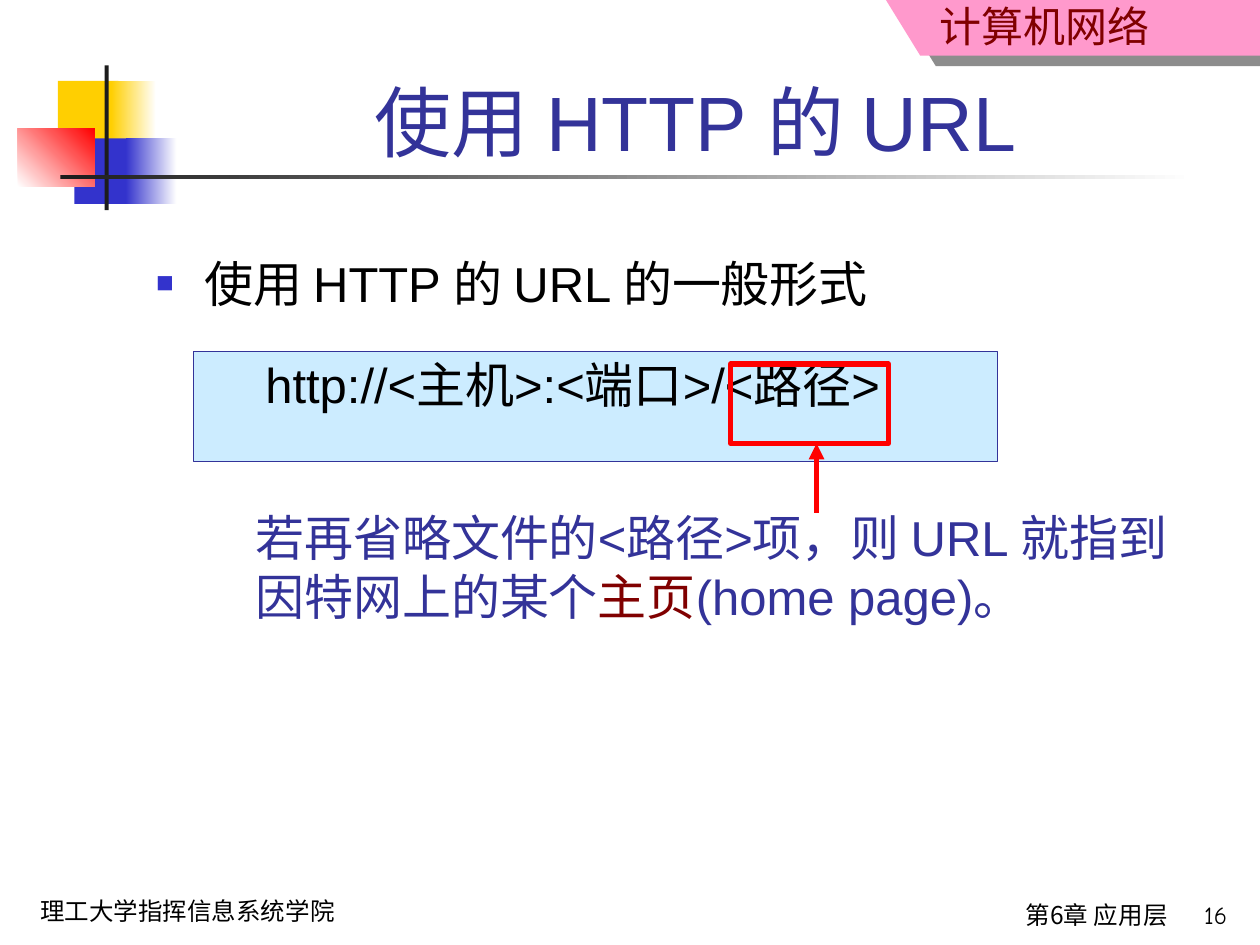
from lxml import etree
from pptx import Presentation
from pptx import util as u
from pptx.dml.color import RGBColor
from pptx.enum import shapes, text
from pptx.oxml import ns

COLORS = {
    "yellow": "FFCF01", "blue": "3333CC", "red": "FF0000", "white": "FFFFFF",
    "ink": "1C1C1C", "pink": "FF99CC", "maroon": "800000", "black": "000000",
    "navy": "333399", "sky": "CCECFF",
}
CJK = "Noto Sans CJK SC"
ALIGN = text.PP_ALIGN


def rgb(name):
    return RGBColor.from_string(COLORS[name])


def add_xml(parent, tag, **attrs):
    return etree.SubElement(parent, ns.qn(tag), attrs)


def paint(sp, fill=None, line=None, width=0.75):
    """Fill with a colour, a (from, to, angle) gradient, or nothing."""
    sp.shadow.inherit = False
    if fill is None:
        sp.fill.background()
    elif isinstance(fill, tuple):
        sp.fill.gradient()
        sp.fill.gradient_angle = fill[2]
        for stop, color in zip(sp.fill.gradient_stops, fill):
            stop.color.rgb = rgb(color)
    else:
        sp.fill.solid()
        sp.fill.fore_color.rgb = rgb(fill)
    if line:
        sp.line.color.rgb = rgb(line)
        sp.line.width = u.Pt(width)
    else:
        sp.line.fill.background()


def add_rect(s, x, y, w, h, **style):
    sp = s.shapes.add_shape(shapes.MSO_SHAPE.RECTANGLE,
                            u.Cm(x), u.Cm(y), u.Cm(w), u.Cm(h))
    paint(sp, **style)
    return sp


def add_text(s, x, y, w, h, **frame):
    tf = s.shapes.add_textbox(u.Cm(x), u.Cm(y), u.Cm(w), u.Cm(h)).text_frame
    for name, value in {"word_wrap": True, **frame}.items():
        setattr(tf, name, value)
    return tf


def write(p, runs, size, font="Arial", **layout):
    """Write (wording, colour) runs into a paragraph."""
    for name, value in layout.items():
        setattr(p, name, value)
    for wording, color in runs:
        r = p.add_run()
        r.text = wording
        for name, value in {"size": u.Pt(size), "name": font}.items():
            setattr(r.font, name, value)
        r.font.color.rgb = rgb(color)
        add_xml(r.font._element, "a:ea", typeface=CJK)


def indent(p, left, first=0):
    pPr = p._p.get_or_add_pPr()
    pPr.set("marL", str(u.Cm(left)))
    pPr.set("indent", str(u.Cm(first)))
    return pPr


def add_ornament(s, x, y):
    parts = [
        (0.81, 0.31, 1.22, 1.32, "yellow"),
        (1.88, 0.31, 0.91, 1.32, ("yellow", "white", 0)),
        (1.14, 1.47, 1.17, 1.32, "blue"),
        (2.18, 1.47, 1.02, 1.32, ("blue", "white", 0)),
        (0, 1.27, 1.55, 1.17, ("white", "red", 45)),
        (1.75, 0, 0.08, 2.92, "ink"),
        (0.86, 2.21, 22.86, 0.08, ("ink", "white", 0)),
    ]
    for dx, dy, w, h, fill in parts:
        add_rect(s, x + dx, y + dy, w, h, fill=fill)


def add_banner(s, x, y, w, h):
    corners = [(x + 0.69, y + h), (x + w, y + h), (x + w, y)]
    builder = s.shapes.build_freeform(u.Cm(x), u.Cm(y))
    builder.add_line_segments([(u.Cm(a), u.Cm(b)) for a, b in corners])
    sp = builder.convert_to_shape()
    paint(sp, fill="pink")
    effects = sp._element.spPr.find(ns.qn("a:effectLst"))
    shadow = add_xml(effects, "a:outerShdw", dist=str(u.Pt(10.8)),
                     dir="2040000", algn="ctr", rotWithShape="0")
    color = add_xml(shadow, "a:srgbClr", val=COLORS["ink"])
    add_xml(color, "a:alpha", val="50000")
    tf = add_text(s, x - 3.07, y, 8.64, 1.14, margin_top=0)
    write(tf.paragraphs[0], [("计算机网络", "maroon")], 24, CJK,
          alignment=ALIGN.RIGHT)


def add_footer(s, x, y, w):
    parts = [
        (0, -0.08, 7.9, "理工大学指挥信息系统学院", "Comic Neue", ALIGN.LEFT),
        (w - 14.1, 0, 12.9, "第6章 应用层", CJK, ALIGN.RIGHT),
        (w - 2, 0, 2, "16", "Comic Neue", ALIGN.RIGHT),
    ]
    for dx, dy, width, wording, font, align in parts:
        tf = add_text(s, x + dx, y + dy, width, 0.96)
        write(tf.paragraphs[0], [(wording, "black")], 14, font,
              alignment=align)


def add_title(s, x, y, w, h):
    tf = add_text(s, x, y, w, h, vertical_anchor=text.MSO_ANCHOR.BOTTOM)
    write(tf.paragraphs[0], [("使用 HTTP 的 URL", "navy")], 44,
          alignment=ALIGN.CENTER)


def add_url_form(s, x, y, w, h):
    """Bulleted heading above the boxed general form of a URL."""
    add_rect(s, x + 1, y + 2.11, 16.21, 2.21, fill="sky", line="navy")
    tf = add_text(s, x, y, w, h)
    p = tf.paragraphs[0]
    pPr = indent(p, 0.97, -0.97)
    color = add_xml(pPr, "a:buClr")
    add_xml(color, "a:srgbClr", val=COLORS["blue"])
    add_xml(pPr, "a:buSzPct", val="60000")
    add_xml(pPr, "a:buFont", typeface="Arial")
    add_xml(pPr, "a:buChar", char="■")
    write(p, [("使用 HTTP 的 URL 的一般形式", "black")], 28)
    p = tf.add_paragraph()
    indent(p, 2.2)
    write(p, [("http://<主机>:<端口>/<路径>", "black")], 28,
          space_before=u.Pt(24))


def add_path_mark(s, x, y, w, h):
    """Red frame with an arrow pointing up at it."""
    add_rect(s, x, y, w, h, line="red", width=3)
    mid, bottom = u.Cm(x + 1.73), y + h
    arrow = s.shapes.add_connector(shapes.MSO_CONNECTOR.STRAIGHT,
                                   mid, u.Cm(bottom + 1.4), mid, u.Cm(bottom))
    arrow.line.color.rgb = rgb("red")
    arrow.line.width = u.Pt(3)
    add_xml(arrow.line._get_or_add_ln(), "a:tailEnd", type="triangle")
    add_xml(arrow._element.spPr, "a:effectLst")


def add_note(s, x, y, w, h):
    tf = add_text(s, x, y, w, h)
    write(tf.paragraphs[0], [
        ("若再省略文件的<路径>项，则 URL 就指到因特网上的某个", "navy"),
        ("主页", "maroon"),
        ("(home page)。", "navy"),
    ], 28)


def main():
    prs = Presentation()
    prs.slide_width, prs.slide_height = u.Cm(25.4), u.Cm(19.05)
    s = prs.slides.add_slide(prs.slide_layouts[6])
    add_ornament(s, 0.36, 1.32)
    add_banner(s, 17.86, 0, 7.54, 1.12)
    add_footer(s, 0.56, 18.01, 24.43)
    add_title(s, 3.2, 0.58, 21.64, 2.92)
    add_url_form(s, 2.9, 4.98, 21.59, 4.47)
    add_path_mark(s, 14.73, 7.34, 3.18, 1.6)
    add_note(s, 4.9, 10.11, 19, 2.64)
    prs.save("out.pptx")


if __name__ == "__main__":
    main()
